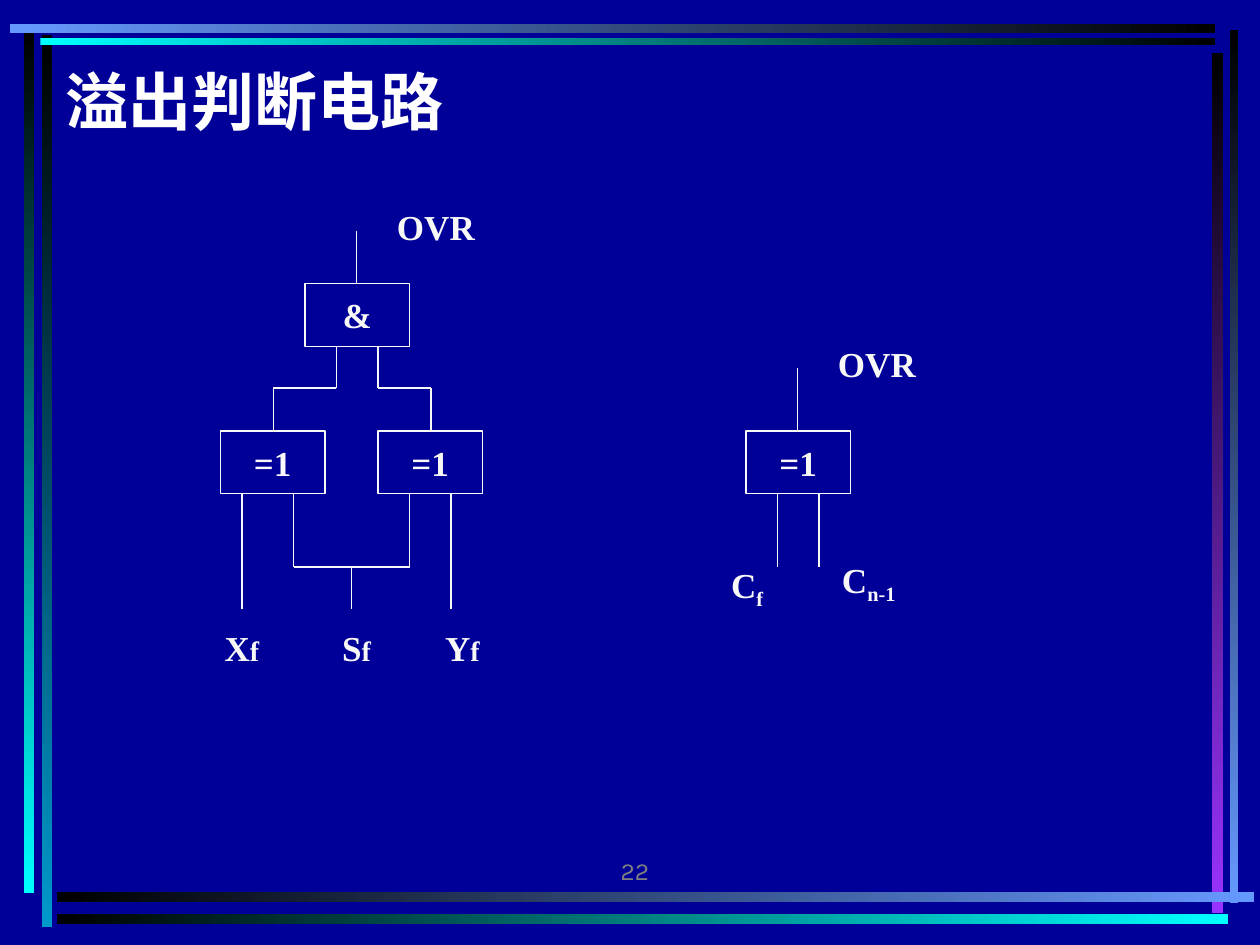
from itertools import pairwise
from typing import NamedTuple

from lxml.etree import SubElement
from pptx import Presentation
from pptx.dml.color import RGBColor
from pptx.enum.shapes import MSO_CONNECTOR as Conn, MSO_SHAPE as Shape
from pptx.enum.text import MSO_ANCHOR as Anchor, MSO_AUTO_SIZE as Fit, PP_ALIGN as Align
from pptx.oxml.ns import qn
from pptx.util import Inches, Pt

INK = "F8F8F8"
BASE = {"name": "Times New Roman", "size": Pt(20), "bold": True}
SMALL = {**BASE, "size": Pt(16)}
HEAD = {"name": "Karla", "size": Pt(36), "bold": True}
PAGE = {"name": "Karla", "size": Pt(14), "bold": False}


class Bar(NamedTuple):
    x: float
    y: float
    w: float
    h: float
    start: str
    end: str


class Gate(NamedTuple):
    x: float
    y: float
    text: str


class Label(NamedTuple):
    x: float
    y: float
    w: float
    text: str
    tail: str = ""
    sub: bool = False


BARS = [
    Bar(0.33, 0.28, 0.08, 7.08, "000000", "0099CC"),
    Bar(0.19, 0.25, 0.08, 6.84, "000000", "00FFFF"),
    Bar(9.76, 0.24, 0.07, 6.93, "000000", "6699FF"),
    Bar(9.62, 0.42, 0.09, 6.83, "000000", "9933FF"),
    Bar(0.45, 7.08, 9.5, 0.08, "000000", "6699FF"),
    Bar(0.45, 7.25, 9.3, 0.08, "000000", "00FFFF"),
    Bar(0.32, 0.3, 9.32, 0.06, "00FFFF", "000000"),
    Bar(0.08, 0.19, 9.56, 0.07, "6699FF", "000000"),
]
GATES = [
    Gate(2.42, 2.25, "&"),
    Gate(1.75, 3.42, "=1"),
    Gate(3, 3.42, "=1"),
    Gate(5.92, 3.42, "=1"),
]
WIRES = [
    [(2.83, 1.83), (2.83, 2.25)],
    [(2.67, 2.75), (2.67, 3.08), (2.17, 3.08), (2.17, 3.42)],
    [(3, 2.75), (3, 3.08), (3.42, 3.08), (3.42, 3.42)],
    [(1.92, 3.92), (1.92, 4.83)],
    [(2.33, 3.92), (2.33, 4.5), (3.25, 4.5), (3.25, 3.92)],
    [(2.79, 4.5), (2.79, 4.83)],
    [(3.58, 3.92), (3.58, 4.83)],
    [(6.33, 2.92), (6.33, 3.42)],
    [(6.17, 3.92), (6.17, 4.5)],
    [(6.5, 3.92), (6.5, 4.5)],
]
LABELS = [
    Label(3, 1.58, 0.92, "OVR"),
    Label(6.5, 2.67, 0.92, "OVR"),
    Label(1.67, 4.92, 0.5, "X", "f"),
    Label(2.58, 4.92, 0.5, "S", "f"),
    Label(3.42, 4.92, 0.5, "Y", "f"),
    Label(5.68, 4.42, 0.5, "C", "f", True),
    Label(6.5, 4.38, 0.79, "C", "n-1", True),
]


def tint(code: str) -> RGBColor:
    """Turn a hex string into a colour."""
    return RGBColor.from_string(code)


def apply(item, form: dict) -> None:
    """Set each value of a format on an object."""
    for name, value in form.items():
        setattr(item, name, value)


def write(para, text: str, form: dict, ink: str = INK):
    """Add a formatted run to a paragraph."""
    run = para.add_run()
    run.text = text
    apply(run.font, form)
    run.font.color.rgb = tint(ink)
    return run


def add_bar(slide, bar: Bar) -> None:
    """Draw a frame bar whose gradient runs along its length."""
    box = slide.shapes.add_shape(Shape.RECTANGLE, *map(Inches, bar[:4]))
    box.shadow.inherit = False
    box.line.fill.background()
    box.fill.gradient()
    box.fill.gradient_angle = 270 if bar.h > bar.w else 0
    for stop, code in zip(box.fill.gradient_stops, (bar.start, bar.end)):
        stop.color.rgb = tint(code)


def add_gate(slide, gate: Gate) -> None:
    """Draw an outlined logic gate."""
    place = map(Inches, (gate.x, gate.y, 0.83, 0.5))
    box = slide.shapes.add_shape(Shape.RECTANGLE, *place)
    box.shadow.inherit = False
    box.fill.background()
    box.line.color.rgb = tint(INK)
    box.line.width = Pt(0.75)
    apply(box.text_frame, {"word_wrap": False, "vertical_anchor": Anchor.MIDDLE})
    para = box.text_frame.paragraphs[0]
    para.alignment = Align.CENTER
    write(para, gate.text, BASE)


def add_wire(slide, points: list[tuple[float, float]]) -> None:
    """Join neighbouring points with straight lines."""
    for start, end in pairwise(points):
        line = slide.shapes.add_connector(Conn.STRAIGHT, *map(Inches, start + end))
        line.line.color.rgb = tint(INK)
        line.line.width = Pt(0.75)
        SubElement(line._element.spPr, qn("a:effectLst"))


def add_label(slide, label: Label) -> None:
    """Write a signal name with its suffix."""
    high = 0.48 if label.sub else 0.44
    box = slide.shapes.add_textbox(*map(Inches, (label.x, label.y, label.w, high)))
    apply(box.text_frame, {"word_wrap": True, "auto_size": Fit.SHAPE_TO_FIT_TEXT})
    para = box.text_frame.paragraphs[0]
    para.alignment = Align.CENTER
    write(para, label.text, BASE)
    if label.tail:
        run = write(para, label.tail, BASE if label.sub else SMALL)
        if label.sub:
            run._r.get_or_add_rPr().set("baseline", "-25000")


def add_title(slide, text: str) -> None:
    """Place and fill the title."""
    title = slide.shapes.title
    spot = {"left": 0.42, "top": 0.42, "width": 8.75, "height": 0.75}
    apply(title, {name: Inches(value) for name, value in spot.items()})
    title.text_frame.vertical_anchor = Anchor.MIDDLE
    para = title.text_frame.paragraphs[0]
    para.alignment = Align.LEFT
    write(para, text, HEAD, "FFFFFF")


def add_page(slide, text: str) -> None:
    """Write the page number."""
    box = slide.shapes.add_textbox(*map(Inches, (3.17, 6.58, 2.08, 0.5)))
    apply(box.text_frame, {"word_wrap": True, "vertical_anchor": Anchor.BOTTOM})
    para = box.text_frame.paragraphs[0]
    para.alignment = Align.RIGHT
    write(para, text, PAGE, "808080")


def main() -> None:
    """Build the slide and save it."""
    deck = Presentation()
    apply(deck, {"slide_width": Inches(10), "slide_height": Inches(7.5)})
    slide = deck.slides.add_slide(deck.slide_layouts[5])
    slide.background.fill.solid()
    slide.background.fill.fore_color.rgb = tint("000099")
    for draw, items in (
        (add_bar, BARS),
        (add_gate, GATES),
        (add_wire, WIRES),
        (add_label, LABELS),
    ):
        for item in items:
            draw(slide, item)
    add_title(slide, "溢出判断电路")
    add_page(slide, "22")
    deck.save("out.pptx")


if __name__ == "__main__":
    main()
